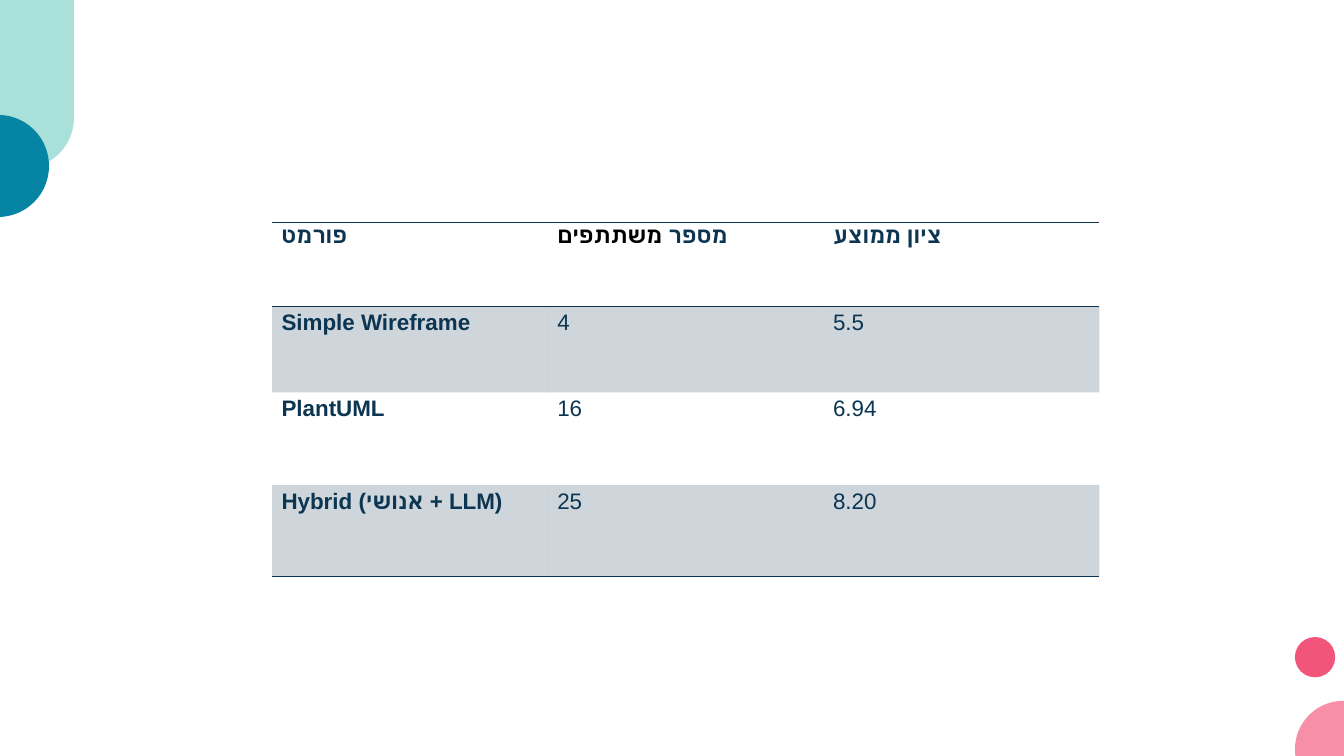
from lxml.etree import SubElement
from pptx import Presentation
from pptx.dml.color import RGBColor
from pptx.enum.shapes import MSO_SHAPE as Preset
from pptx.oxml.ns import qn
from pptx.util import Pt

EMU_PER_PX = 4572
COLORS = {"navy": "0B3550", "black": "000000", "mint": "74CEC4",
          "teal": "0584A4", "pink": "F2557A"}
ROWS = [
    ["פורמט", "מספר משתתפים", "ציון ממוצע"],
    ["Simple Wireframe", "4", "5.5"],
    ["PlantUML", "16", "6.94"],
    ["Hybrid (אנושי + LLM)", "25", "8.20"],
]
ROW_HEIGHTS = [125, 128, 138, 136]
RULED_EDGES = {0, 1, len(ROWS)}


def px(length):
    return length * EMU_PER_PX


def paint(fill, color, alpha=100):
    fill.solid()
    fill.fore_color.rgb = RGBColor.from_string(COLORS[color])
    if alpha < 100:
        color_element = fill._xPr.find(qn("a:solidFill"))[0]
        SubElement(color_element, qn("a:alpha"), val=str(alpha * 1000))


def add_decoration(slide, preset, left, top, width, height, color,
                   alpha=100, adjustments=()):
    shape = slide.shapes.add_shape(preset, px(left), px(top), px(width), px(height))
    shape.shadow.inherit = False
    shape.line.fill.background()
    paint(shape.fill, color, alpha)
    for index, value in enumerate(adjustments):
        shape.adjustments[index] = value


def add_top_corner(slide, left, top):
    add_decoration(slide, Preset.ROUNDED_RECTANGLE, left - 38, top - 150, 148, 400,
                   "mint", 61, [0.5])
    add_decoration(slide, Preset.CHORD, left - 79, top + 171, 152, 152,
                   "teal", adjustments=[162, 54])


def add_bottom_corner(slide, left, top):
    add_decoration(slide, Preset.OVAL, left, top, 60, 60, "pink")
    add_decoration(slide, Preset.OVAL, left, top + 95, 144, 144, "pink", 66)


def set_borders(cell, ruled_sides):
    properties = cell._tc.get_or_add_tcPr()
    for side in "LRTB":
        line = SubElement(properties, qn(f"a:ln{side}"), w=str(Pt(1)))
        if side in ruled_sides:
            fill = SubElement(line, qn("a:solidFill"))
            SubElement(fill, qn("a:srgbClr"), val=COLORS["navy"])
        else:
            SubElement(line, qn("a:noFill"))


def fill_cell(cell, text, row, column):
    cell.margin_left = cell.margin_right = px(14)
    cell.margin_top = cell.margin_bottom = 0
    edges = {"T": row, "B": row + 1}
    set_borders(cell, {side for side, edge in edges.items() if edge in RULED_EDGES})
    if row % 2:
        paint(cell.fill, "navy", 20)
    else:
        cell.fill.background()
    paragraph = cell.text_frame.paragraphs[0]
    paragraph.line_spacing = 1.15
    paragraph.space_after = Pt(8)
    paragraph.font.name = "Arial"
    paragraph.font.size = Pt(12)
    paragraph.font.bold = row == 0 or column == 0
    paragraph.font.color.rgb = RGBColor.from_string(COLORS["navy"])
    first, space, second = text.partition(" ")
    if (row, column) == (0, 1):
        paragraph.add_run().text = first + space
        accent = paragraph.add_run()
        accent.text = second
        accent.font.color.rgb = RGBColor.from_string(COLORS["black"])
    else:
        paragraph.add_run().text = text


def add_score_table(slide, left, top, width):
    frame = slide.shapes.add_table(len(ROWS), len(ROWS[0]), px(left), px(top),
                                   px(width), px(sum(ROW_HEIGHTS)))
    table = frame.table
    table.first_row = table.horz_banding = False
    for column in table.columns:
        column.width = px(width) // len(ROWS[0])
    for row, texts in enumerate(ROWS):
        table.rows[row].height = px(ROW_HEIGHTS[row])
        for column, text in enumerate(texts):
            fill_cell(table.cell(row, column), text, row, column)


def main():
    presentation = Presentation()
    presentation.slide_width = px(2000)
    presentation.slide_height = px(1125)
    slide = presentation.slides.add_slide(presentation.slide_layouts[6])
    add_bottom_corner(slide, 1927, 948)
    add_top_corner(slide, 0, 0)
    add_score_table(slide, 405, 331, 1231)
    presentation.save("out.pptx")


if __name__ == "__main__":
    main()
